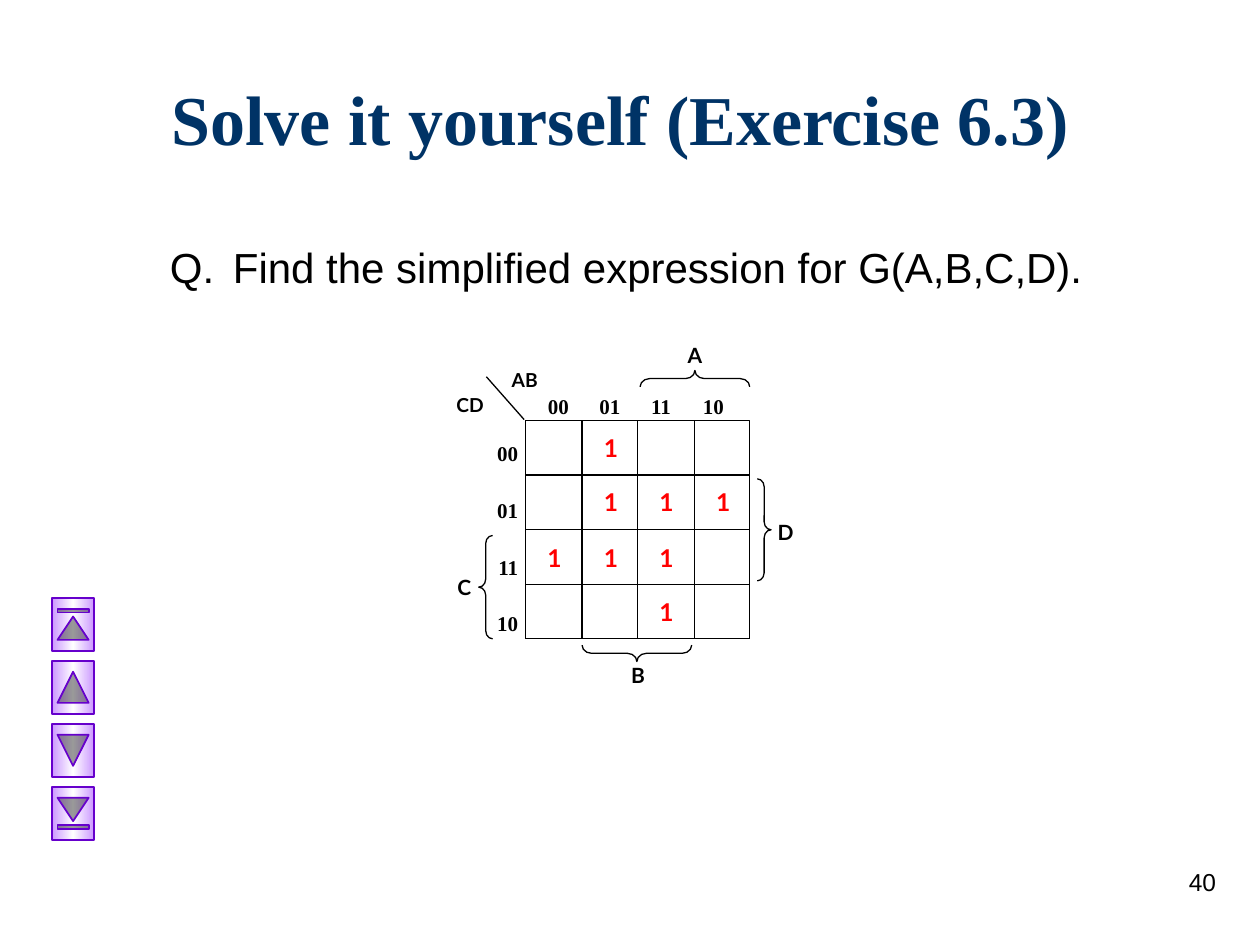
from copy import deepcopy

from lxml import etree
from pptx import Presentation
from pptx import util as u
from pptx.dml import color
from pptx.enum import shapes, text
from pptx.oxml import ns

PX = 9144
SERIF, SANS, LABEL = "Times New Roman", "Arial", "Lato"
KIND = shapes.MSO_SHAPE
LEFT, MID, RIGHT = text.PP_ALIGN.LEFT, text.PP_ALIGN.CENTER, text.PP_ALIGN.RIGHT


def hue(code):
    return color.RGBColor.from_string(code)


def write(msg, box, shape=None, font=LABEL, size=12, ink="000000", bold=True,
          align=MID, after=0, tabs=(), hang=0):
    x, y, w, h = [n * PX for n in box]
    if shape is None:
        shape = slide.shapes.add_textbox(x, y, w, h)
    shape.left, shape.top, shape.width, shape.height = x, y, w, h
    frame = shape.text_frame
    frame.word_wrap = True
    frame.text = msg
    for para in frame.paragraphs:
        para.alignment = align
        para.space_before = u.Pt(0)
        para.space_after = u.Pt(after)
        para.font.name = font
        para.font.size = u.Pt(size)
        para.font.bold = bold
        para.font.color.rgb = hue(ink)
        props = para._p.get_or_add_pPr()
        if hang:
            props.set("marL", str(hang * PX))
            props.set("indent", str(-hang * PX))
        if tabs:
            stops = etree.Element(ns.qn("a:tabLst"))
            for pos in tabs:
                etree.SubElement(stops, ns.qn("a:tab"), pos=str(pos * PX), algn="l")
            props.find(ns.qn("a:defRPr")).addprevious(stops)


prs = Presentation()
prs.slide_width = 1000 * PX
prs.slide_height = 750 * PX
slide = prs.slides.add_slide(prs.slide_layouts[5])

title = slide.shapes.title
title.text_frame.vertical_anchor = text.MSO_ANCHOR.MIDDLE
write("Solve it yourself (Exercise 6.3)", (126, 50, 850, 87), shape=title,
      font=SERIF, size=40, ink="003366", align=LEFT)
write("Q.\tFind the simplified expression for G(A,B,C,D).", (125, 187, 842, 100),
      font=SANS, size=24, bold=False, align=LEFT, hang=50)

keys = [KIND.ACTION_BUTTON_BEGINNING, KIND.ACTION_BUTTON_BACK_OR_PREVIOUS,
        KIND.ACTION_BUTTON_FORWARD_OR_NEXT, KIND.ACTION_BUTTON_END]
for i, kind in enumerate(keys):
    key = slide.shapes.add_shape(kind, 37 * PX, (479 + 50 * i) * PX, 42 * PX, 33 * PX)
    key.rotation = 90
    key.shadow.inherit = False
    key.line.color.rgb = hue("6600CC")
    key.line.width = u.Pt(1)
    key.fill.gradient()
    key.fill.gradient_angle = 270
    stops = key._element.spPr.find(".//" + ns.qn("a:gsLst"))
    stops.insert(1, deepcopy(stops[0]))
    tones = [(0, "CC99FF"), (0.5, "FFFFFF"), (1, "CC99FF")]
    for stop, (pos, tone) in zip(key.fill.gradient_stops, tones):
        stop.position = pos
        stop.color.rgb = hue(tone)

cols = [417, 462, 506, 551, 595]
rows = [334, 377, 421, 464, 507]
grid = slide.shapes.add_shape(KIND.RECTANGLE, cols[0] * PX, rows[0] * PX,
                              (cols[-1] - cols[0]) * PX, (rows[-1] - rows[0]) * PX)
grid.shadow.inherit = False
grid.fill.background()
grid.line.color.rgb = hue("000000")
grid.line.width = u.Pt(0.75)

lines = [(x, rows[0], x, rows[-1]) for x in cols[1:-1]]
lines += [(cols[0], y, cols[-1], y) for y in rows[1:]]
lines.append((416, 333, 386, 299))
for ends in lines:
    line = slide.shapes.add_connector(shapes.MSO_CONNECTOR.STRAIGHT, *[n * PX for n in ends])
    line.line.color.rgb = hue("000000")
    line.line.width = u.Pt(0.75)
    etree.SubElement(line._element.spPr, ns.qn("a:effectLst"))
    if ends[0] == ends[2] == cols[2]:
        line.begin_connect(grid, 0)
        line.end_connect(grid, 2)
    if ends[1] == ends[3] == rows[2]:
        line.begin_connect(grid, 1)
        line.end_connect(grid, 3)

braces = [(KIND.LEFT_BRACE, (545, 257, 13, 87), 90),
          (KIND.LEFT_BRACE, (499, 475, 13, 87), 270),
          (KIND.LEFT_BRACE, (380, 425, 11, 82), 0),
          (KIND.RIGHT_BRACE, (601, 380, 11, 81), 0)]
for kind, box, turn in braces:
    brace = slide.shapes.add_shape(kind, *[n * PX for n in box])
    brace.rotation = turn
    brace.adjustments[0] = 0.58
    brace.shadow.inherit = False
    brace.fill.background()
    brace.line.color.rgb = hue("000000")
    brace.line.width = u.Pt(0.75)

for name, box, size in [("A", (535, 267, 33, 27), 12), ("B", (490, 521, 33, 26), 12),
                        ("C", (352, 451, 33, 35), 12), ("D", (607, 407, 33, 35), 12),
                        ("AB", (391, 287, 51, 29), 11), ("CD", (342, 307, 62, 29), 11)]:
    write(name, box, size=size)

codes = ["00", "01", "11", "10"]
write("\t".join(codes), (425, 307, 166, 35), font=SERIF, align=LEFT,
      tabs=[41 * i for i in range(1, 4)])
write("\n".join(codes), (382, 345, 39, 179), font=SERIF, align=RIGHT, after=18)

cells = [" 1  ", " 111", "111 ", "  1 "]
for y, marks in zip(rows, cells):
    for x, mark in zip(cols, marks):
        if mark == "1":
            write(mark, (x + 1, y + 5, 44, 34), size=14, ink="FF0000")

write("40", (767, 683, 208, 50), font=SANS, size=14, bold=False, align=RIGHT)

prs.save("out.pptx")
